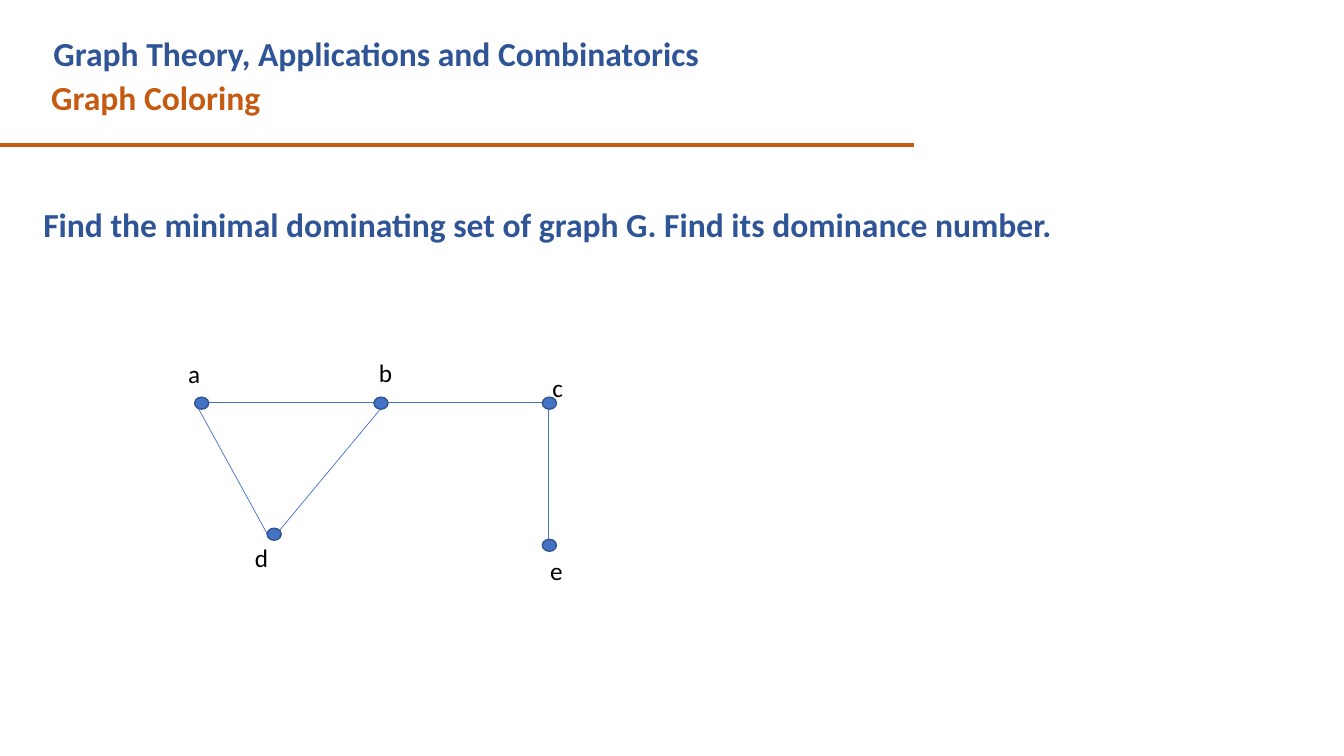
from pptx import Presentation
from pptx.dml.color import RGBColor
from pptx.enum.shapes import MSO_CONNECTOR, MSO_SHAPE
from pptx.enum.text import MSO_ANCHOR, MSO_AUTO_SIZE, PP_ALIGN
from pptx.oxml.ns import qn
from pptx.util import Pt
from lxml import etree

STRAIGHT, OVAL = MSO_CONNECTOR.STRAIGHT, MSO_SHAPE.OVAL
TOP, GROW = MSO_ANCHOR.TOP, MSO_AUTO_SIZE.SHAPE_TO_FIT_TEXT
LEFT, JUSTIFY = PP_ALIGN.LEFT, PP_ALIGN.JUSTIFY

COLOURS = {"navy": "2F5597", "orange": "C55A11", "blue": "4472C4",
           "outline": "325491", "black": "000000"}
HEADING = {"size": Pt(24), "bold": True}
LABEL = {"size": Pt(18), "bold": False}
DOT = (10.1, 8.6)

VERTICES = {
    "a": {"dot": (139, 283.7), "label": (127.4, 252.7, 38.2, 29.1)},
    "b": {"dot": (267.1, 283.7), "label": (263.5, 252, 46.8, 29.1)},
    "c": {"dot": (387.4, 283.7), "label": (387.4, 262.1, 38.2, 29.1)},
    "d": {"dot": (190.8, 377.3), "label": (175, 383.8, 44.6, 29.1)},
    "e": {"dot": (387.4, 385.2), "label": (385.9, 393.1, 44.6, 29.1)},
}
EDGES = {
    "ab": (140.4, 287.3, 275.8, 287.3),
    "ad": (140.4, 289.4, 193, 385.2),
    "db": (194.4, 385.2, 275.8, 287.3),
    "bc": (275.8, 287.3, 391.7, 287.3),
    "ce": (391.7, 289.4, 391.7, 385.2),
}


class GraphSlide:
    """Draws headings, lines, vertices and labels on one slide in a shared style."""

    def __init__(self, slide, font="Calibri"):
        self.slide = slide
        self.shapes = slide.shapes
        self.font = font

    def colour(self, name):
        return RGBColor.from_string(COLOURS[name])

    def group(self):
        self.shapes = self.slide.shapes.add_group_shape().shapes

    def set_wording(self, holder, wording, colour, style, align):
        frame = holder.text_frame
        frame.text = wording
        layout = {"word_wrap": True, "auto_size": GROW, "vertical_anchor": TOP}
        for key, value in layout.items():
            setattr(frame, key, value)
        paragraph = frame.paragraphs[0]
        paragraph.alignment = align
        font = paragraph.runs[0].font
        for key, value in {"name": self.font, **style}.items():
            setattr(font, key, value)
        font.color.rgb = self.colour(colour)

    def title(self, wording, box, colour):
        heading = self.slide.shapes.title
        for key, value in zip(("left", "top", "width", "height"), box):
            setattr(heading, key, Pt(value))
        self.set_wording(heading, wording, colour, HEADING, LEFT)

    def text(self, wording, box, colour, style, align=LEFT):
        holder = self.shapes.add_textbox(*map(Pt, box))
        self.set_wording(holder, wording, colour, style, align)

    def line(self, ends, colour, width):
        connector = self.shapes.add_connector(STRAIGHT, *map(Pt, ends))
        connector.line.color.rgb = self.colour(colour)
        connector.line.width = Pt(width)
        etree.SubElement(connector._element.spPr, qn("a:effectLst"))

    def vertex(self, corner):
        dot = self.shapes.add_shape(OVAL, *map(Pt, corner + DOT))
        dot.shadow.inherit = False
        dot.fill.solid()
        dot.fill.fore_color.rgb = self.colour("blue")
        dot.line.color.rgb = self.colour("outline")
        dot.line.width = Pt(1)


def main():
    deck = Presentation()
    deck.slide_width, deck.slide_height = Pt(960), Pt(540)
    page = GraphSlide(deck.slides.add_slide(deck.slide_layouts[5]))

    page.title("Graph Theory, Applications and Combinatorics",
               (31, 20.2, 590.4, 36.3), "navy")
    page.text("Graph Coloring", (29.5, 51.1, 630, 36.3), "orange", HEADING)
    page.line((0, 103.7, 653, 103.7), "orange", 3)
    page.text("Find the minimal dominating set of graph G. Find its dominance number.",
              (23.8, 141.8, 797.8, 36.3), "navy", HEADING, JUSTIFY)

    page.group()
    for ends in EDGES.values():
        page.line(ends, "blue", 0.5)
    for place in VERTICES.values():
        page.vertex(place["dot"])
    for letter, place in VERTICES.items():
        page.text(letter, place["label"], "black", LABEL)

    deck.save("out.pptx")


if __name__ == "__main__":
    main()
